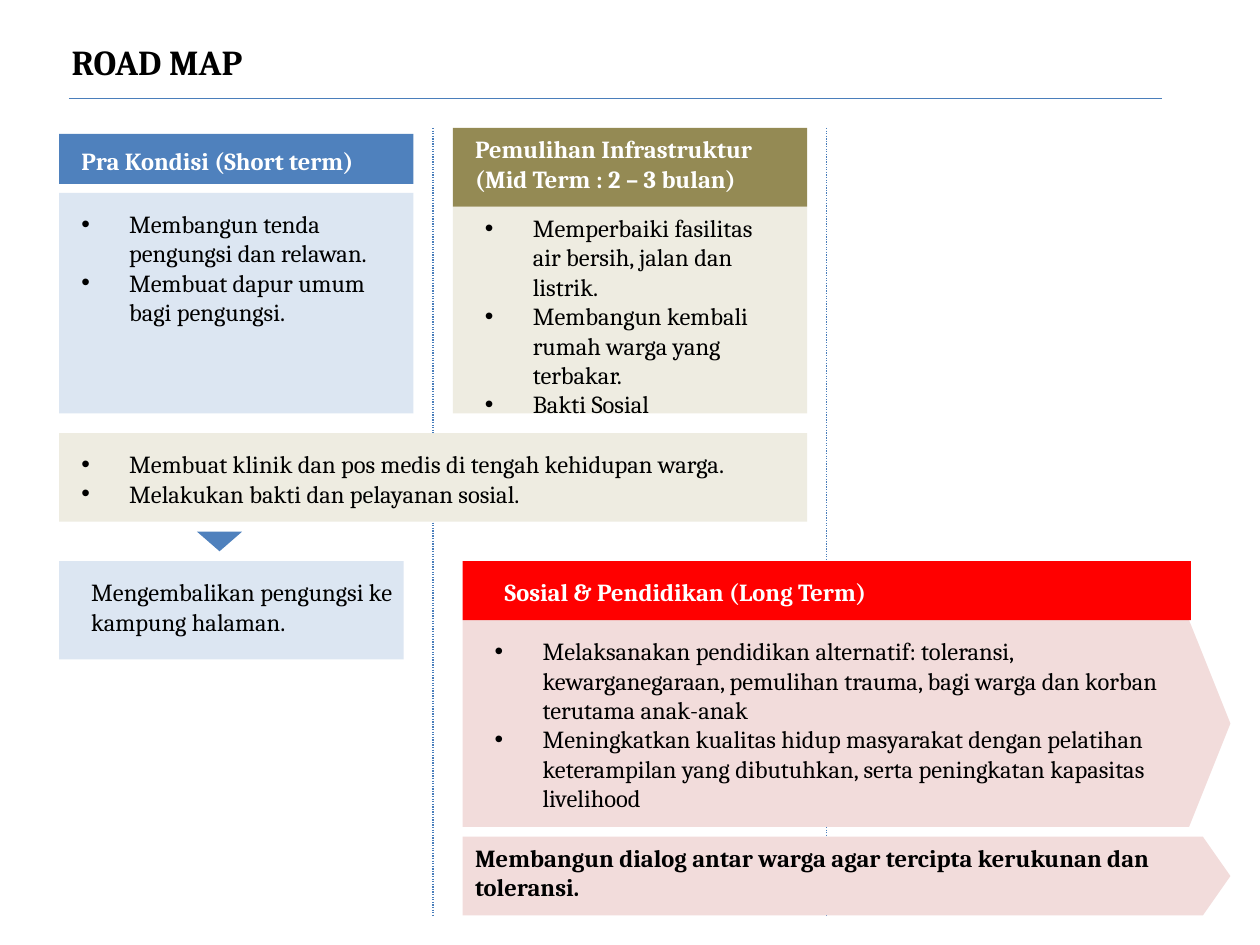
from lxml import etree
from pptx import Presentation
from pptx import util as u
from pptx.dml.color import RGBColor
from pptx.enum import dml, shapes, text
from pptx.oxml.ns import qn

BLACK = RGBColor(0x00, 0x00, 0x00)
WHITE = RGBColor(0xFF, 0xFF, 0xFF)
BLUE = RGBColor(0x4F, 0x81, 0xBD)
RULE_BLUE = RGBColor(0x4A, 0x7E, 0xBB)
PALE_BLUE = RGBColor(0xDC, 0xE6, 0xF2)
OLIVE = RGBColor(0x94, 0x8A, 0x54)
CREAM = RGBColor(0xEE, 0xEC, 0xE1)
RED = RGBColor(0xFF, 0x00, 0x00)
PINK = RGBColor(0xF2, 0xDC, 0xDB)
FONT = "Cambria"
COLUMNS = 128

TITLE = ("ROAD MAP", (6, 3.5, 53, 5.6))
DIVIDERS = [(84, 13, 84, 93), (44, 13, 44, 93)]
TITLE_RULE = (7, 10, 118, 10)
ARROW_PANELS = [
    ((47, 85, 78, 8), 2.8),
    ((47, 63, 78, 21), 4.2),
]
PANELS = [
    ((6, 44, 76, 9), CREAM),
    ((46, 21, 36, 21), CREAM),
    ((6, 57, 35, 10), PALE_BLUE),
    ((6, 19.6, 36, 22.4), PALE_BLUE),
    ((6, 13.6, 36, 5.1), BLUE),
    ((46, 13, 36, 8), OLIVE),
    ((47, 57, 74, 6), RED),
]
DOWN_ARROW = (20, 54, 4.6, 2)
HEADINGS = [
    ("Pra Kondisi (Short term)", (7, 14.2, 34, 4.3), WHITE),
    ("Pemulihan Infrastruktur (Mid Term : 2 – 3 bulan)", (47, 13, 34, 7.3), WHITE),
    ("Sosial & Pendidikan (Long Term)", (50, 58, 64, 4.3), WHITE),
    ("Membangun dialog antar warga agar tercipta kerukunan dan toleransi.",
     (47, 85, 74, 7.3), BLACK),
]
OUTCOME = ("Mengembalikan pengungsi ke kampung halaman.", (8, 58, 34, 7.3))
ACTIVITIES = [
    (["Membangun tenda pengungsi dan relawan.",
      "Membuat dapur umum bagi pengungsi."], (7, 20.6, 33, 19.2)),
    (["Memperbaiki fasilitas air bersih, jalan dan listrik.",
      "Membangun kembali rumah warga yang terbakar.",
      "Bakti Sosial"], (48, 21, 30, 25.2)),
    (["Melaksanakan pendidikan alternatif: toleransi, kewarganegaraan, "
      "pemulihan trauma, bagi warga dan korban terutama anak-anak",
      "Meningkatkan kualitas hidup masyarakat dengan pelatihan keterampilan "
      "yang dibutuhkan, serta peningkatan kapasitas livelihood"], (49, 64, 73, 19.2)),
    (["Membuat klinik dan pos medis di tengah kehidupan warga.",
      "Melakukan bakti dan pelayanan sosial."], (7, 45, 71, 7.3)),
]

deck = Presentation()
deck.slide_width, deck.slide_height = u.Inches(10), u.Inches(7.5)
slide = deck.slides.add_slide(deck.slide_layouts[5])


def grid(cells):
    return [round(cell * deck.slide_width / COLUMNS) for cell in cells]


def add_rule(ends, dash=None):
    rule = slide.shapes.add_connector(shapes.MSO_CONNECTOR.STRAIGHT, *grid(ends))
    rule.line.color.rgb = RULE_BLUE
    rule.line.width = u.Pt(0.75)
    if dash:
        rule.line.dash_style = dash
    etree.SubElement(rule._element.spPr, qn("a:effectLst"))


def paint(panel, color):
    panel.shadow.inherit = False
    panel.fill.solid()
    panel.fill.fore_color.rgb = color
    panel.line.fill.background()


def add_panel(kind, cells, color):
    panel = slide.shapes.add_shape(kind, *grid(cells))
    paint(panel, color)
    return panel


def add_arrow_panel(cells, tip, color):
    left, top, width, height = cells
    right, bottom = left + width, top + height
    outline = [(left, top), (right - tip, top), (right, top + height / 2),
               (right - tip, bottom), (left, bottom)]
    points = [grid(point) for point in outline]
    builder = slide.shapes.build_freeform(*points[0])
    builder.add_line_segments(points[1:], close=True)
    paint(builder.convert_to_shape(), color)


def add_bullet(paragraph):
    props = paragraph._p.get_or_add_pPr()
    indent = u.Inches(0.38)
    props.set("marL", str(indent))
    props.set("indent", str(-indent))
    bullet_color = etree.SubElement(props, qn("a:buClr"))
    etree.SubElement(bullet_color, qn("a:srgbClr"), val=str(BLACK))
    etree.SubElement(props, qn("a:buFont"), typeface="Arial")
    etree.SubElement(props, qn("a:buChar"), char="•")


def write(frame, lines, size=14, color=BLACK, bold=False, bulleted=False):
    frame.word_wrap = True
    frame.auto_size = text.MSO_AUTO_SIZE.SHAPE_TO_FIT_TEXT
    frame.vertical_anchor = text.MSO_ANCHOR.TOP
    for index, line in enumerate(lines):
        paragraph = frame.add_paragraph() if index else frame.paragraphs[0]
        paragraph.alignment = text.PP_ALIGN.LEFT
        if bulleted:
            add_bullet(paragraph)
        run = paragraph.add_run()
        run.text = line
        run.font.name = FONT
        run.font.size = u.Pt(size)
        run.font.bold = bold
        run.font.color.rgb = color


def add_text(cells, lines, **style):
    write(slide.shapes.add_textbox(*grid(cells)).text_frame, lines, **style)


heading, heading_cells = TITLE
title = slide.shapes.title
title.left, title.top, title.width, title.height = grid(heading_cells)
write(title.text_frame, [heading], size=20, bold=True)

for divider in DIVIDERS:
    add_rule(divider, dml.MSO_LINE.ROUND_DOT)
add_rule(TITLE_RULE)
for cells, tip in ARROW_PANELS:
    add_arrow_panel(cells, tip, PINK)
for cells, color in PANELS:
    add_panel(shapes.MSO_SHAPE.RECTANGLE, cells, color)
add_panel(shapes.MSO_SHAPE.ISOSCELES_TRIANGLE, DOWN_ARROW, BLUE).rotation = 180

for label, cells, color in HEADINGS:
    add_text(cells, [label], color=color, bold=True)
outcome, outcome_cells = OUTCOME
add_text(outcome_cells, [outcome])
for lines, cells in ACTIVITIES:
    add_text(cells, lines, bulleted=True)

deck.save("out.pptx")
